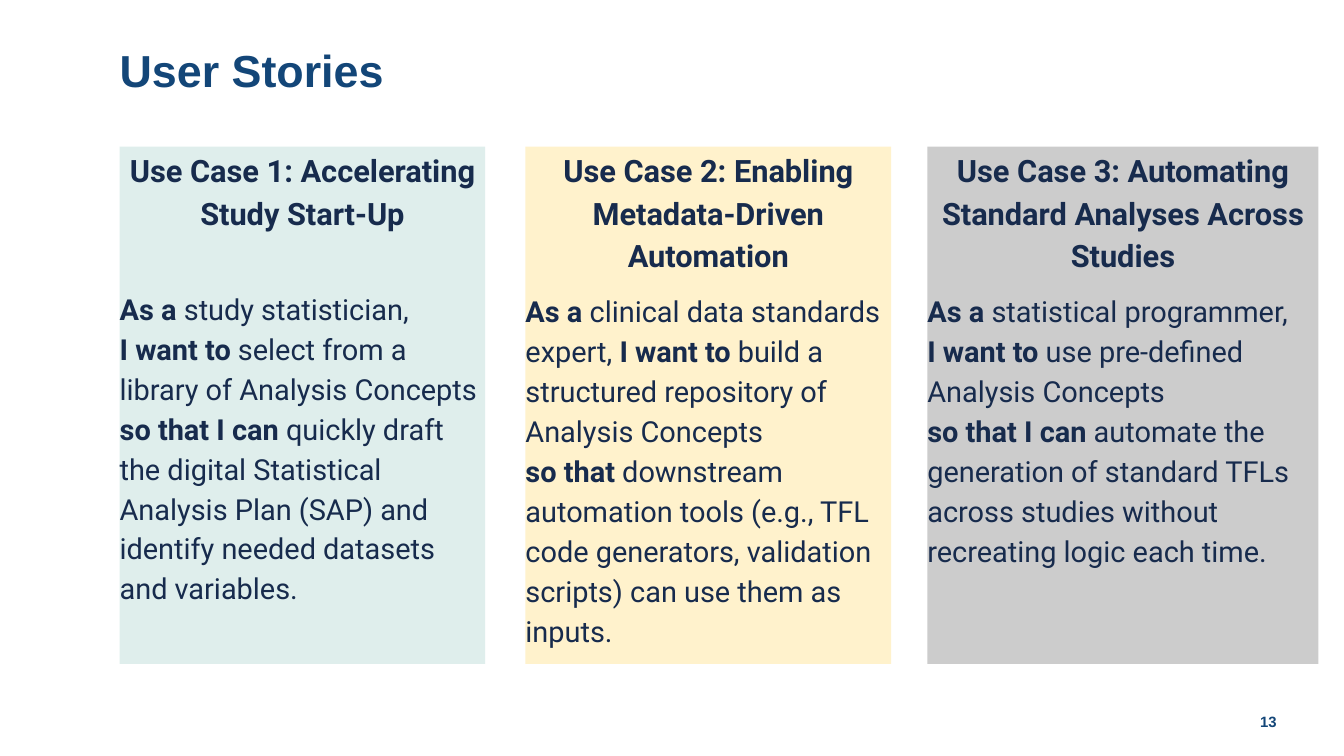
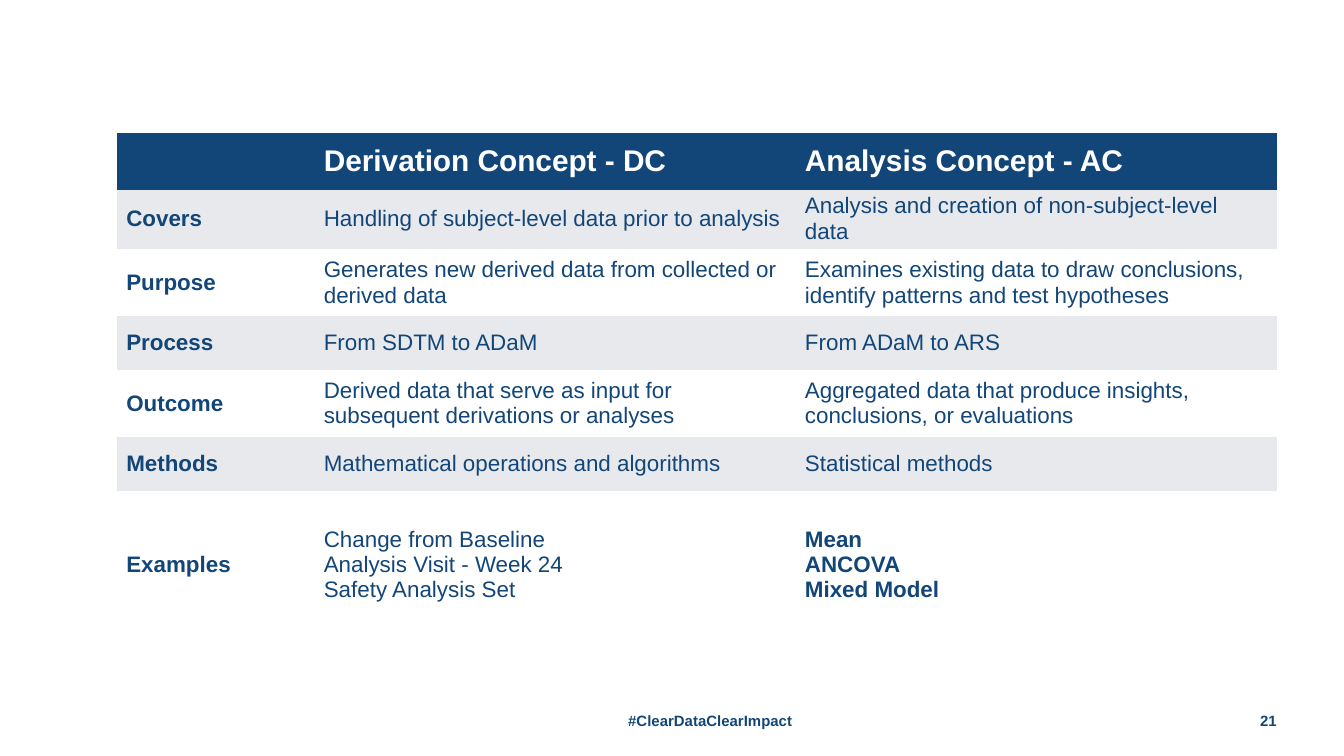
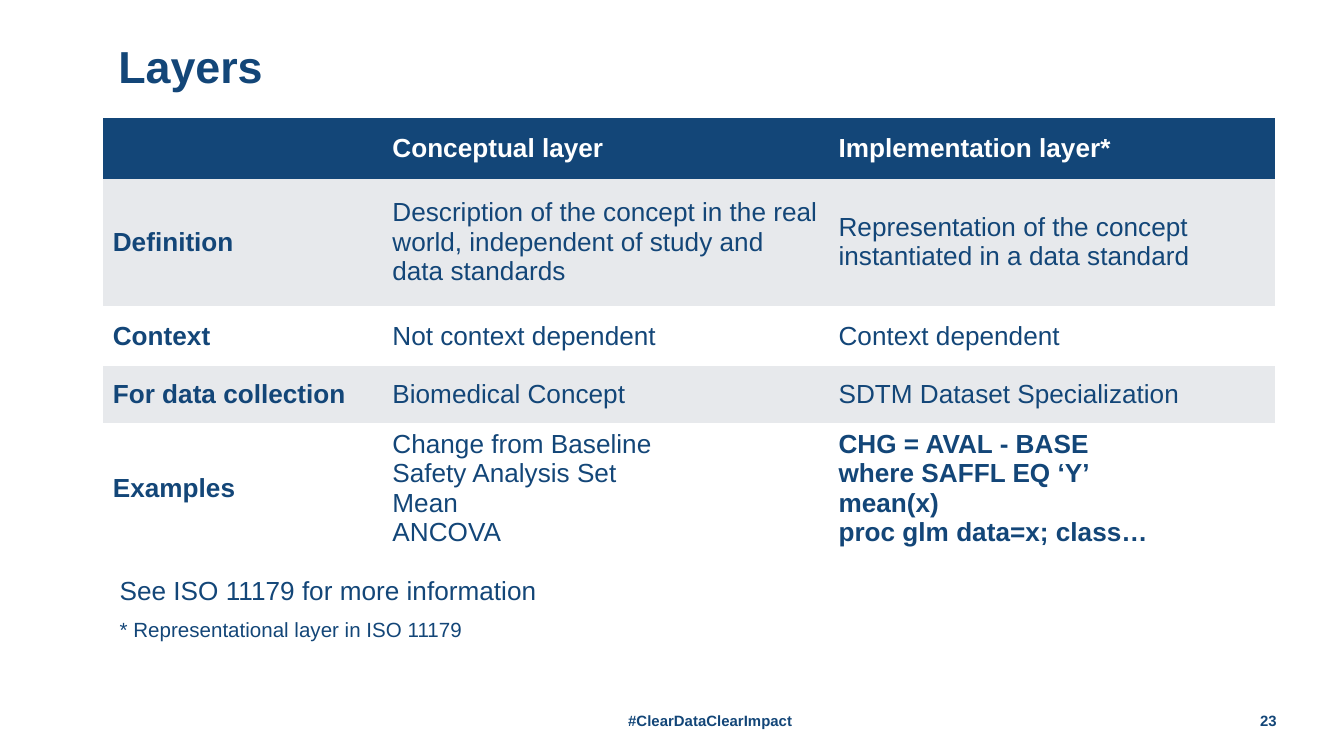
import dataclasses

import lxml.etree
import pptx
import pptx.dml.color
import pptx.enum.shapes
import pptx.enum.text
import pptx.oxml.ns
import pptx.util

Inches = pptx.util.Inches
Pt = pptx.util.Pt
ALIGN = pptx.enum.text.PP_ALIGN
ANCHOR = pptx.enum.text.MSO_ANCHOR


@dataclasses.dataclass(frozen=True)
class Theme:
    navy: str = "134678"
    ink: str = "172B4D"
    white: str = "FFFFFF"
    band: str = "E7E9EC"
    mint: str = "DFEEEC"
    cream: str = "FFF2CC"
    gray: str = "CCCCCC"
    sans: str = "Arial"
    card: str = "Roboto"
    title: float = 24
    head: float = 16.5
    story: float = 15.5
    wide: float = 16
    body: float = 14
    small: float = 12
    note: float = 11
    foot: float = 8
    no_style: str = "{2D5ABB26-0587-4C30-8999-92F81FD0307C}"


T = Theme()


def rgb(code):
    return pptx.dml.color.RGBColor.from_string(code)


def place(shape, left, top, width, height):
    shape.left, shape.top = Inches(left), Inches(top)
    shape.width, shape.height = Inches(width), Inches(height)


def write(frame, text, *, size, font=T.sans, color=T.navy, bold=False,
          align=ALIGN.LEFT, line=1.0, before=0, more=False):
    """Add one paragraph; ** toggles bold and a newline breaks the line."""
    para = frame.add_paragraph() if more else frame.paragraphs[0]
    para.alignment, para.line_spacing = align, line
    para.space_before = Pt(before)
    for part, chunk in enumerate(text.split("**")):
        for row, piece in enumerate(chunk.split("\n")):
            if row:
                para.add_line_break()
            if piece:
                run = para.add_run()
                run.text = piece
                run.font.size, run.font.name = Pt(size), font
                run.font.bold = bold or part % 2 == 1
                run.font.color.rgb = rgb(color)


def setup(frame, anchor=ANCHOR.TOP):
    frame.word_wrap = True
    frame.auto_size = pptx.enum.text.MSO_AUTO_SIZE.NONE
    frame.vertical_anchor = anchor
    frame.margin_left = frame.margin_right = 0
    frame.margin_top = frame.margin_bottom = 0


def add_box(slide, *area, anchor=ANCHOR.MIDDLE):
    box = slide.shapes.add_textbox(*map(Inches, area))
    setup(box.text_frame, anchor)
    return box.text_frame


def add_title(slide, text, left, top):
    title = slide.shapes.title
    place(title, left, top, 8.62, 1.09)
    setup(title.text_frame, ANCHOR.MIDDLE)
    write(title.text_frame, text, size=T.title, bold=True, line=0.9)


def add_foot(slide, number, tag="", top=5.21):
    page = add_box(slide, 9.17, top, 0.33, 0.3)
    write(page, number, size=T.foot, bold=True, align=ALIGN.RIGHT)
    if tag:
        label = add_box(slide, 2.73, top, 5.11, 0.3)
        write(label, tag, size=T.foot, bold=True, align=ALIGN.CENTER)


def add_card(slide, left, width, fill, head, gap, story):
    card = slide.shapes.add_shape(
        pptx.enum.shapes.MSO_SHAPE.RECTANGLE,
        Inches(left), Inches(1.09), Inches(width), Inches(3.85))
    card.shadow.inherit = False
    card.fill.solid()
    card.fill.fore_color.rgb = rgb(fill)
    card.line.fill.background()
    setup(card.text_frame)
    style = {"font": T.card, "color": T.ink, "line": 1.15}
    write(card.text_frame, head, size=T.head, bold=True,
          align=ALIGN.CENTER, **style)
    write(card.text_frame, story, size=T.story, before=gap, more=True, **style)


def add_edge(cell, color):
    """Draw the top and bottom borders of a cell, ahead of its fill."""
    props = cell._tc.get_or_add_tcPr()
    for spot, side in enumerate(("a:lnT", "a:lnB")):
        edge = lxml.etree.Element(pptx.oxml.ns.qn(side), w=str(Pt(2)))
        fill = lxml.etree.SubElement(edge, pptx.oxml.ns.qn("a:solidFill"))
        lxml.etree.SubElement(fill, pptx.oxml.ns.qn("a:srgbClr"), val=color)
        props.insert(spot, edge)


def add_grid(slide, left, top, cols, tall, rows, size, head):
    """Add a table with a dark header row and banded body rows."""
    frame = slide.shapes.add_table(
        len(rows), len(cols), Inches(left), Inches(top),
        Inches(sum(cols)), Inches(sum(tall)))
    grid = frame.table
    grid._tbl.tblPr.find(pptx.oxml.ns.qn("a:tableStyleId")).text = T.no_style
    grid.horz_banding = False
    for col, width in zip(grid.columns, cols):
        col.width = Inches(width)
    for r, (height, row) in enumerate(zip(tall, rows)):
        grid.rows[r].height = Inches(height)
        for c, text in enumerate(row):
            cell = grid.cell(r, c)
            cell.vertical_anchor = ANCHOR.MIDDLE
            cell.margin_left = cell.margin_right = Inches(0.07)
            cell.margin_top = cell.margin_bottom = Inches(0.04)
            cell.fill.solid()
            shade = T.band if r % 2 else T.white
            cell.fill.fore_color.rgb = rgb(shade if r else T.navy)
            if r == 0:
                add_edge(cell, T.navy)
            last = r == len(rows) - 1 and c == len(cols) - 1
            for n, item in enumerate(text.split("\n")):
                write(cell.text_frame, item, size=size if r else head,
                      color=T.navy if r else T.white,
                      bold=r == 0 or c == 0 or last, more=n > 0)


CARDS = [
    (0.89, 2.72, T.mint, "Use Case 1: Accelerating Study Start-Up", 29.5,
     "**As a** study statistician,\n**I want to** select from a library of "
     "Analysis Concepts\n**so that I can** quickly draft the digital "
     "Statistical Analysis Plan (SAP) and identify needed datasets and "
     "variables."),
    (3.91, 2.72, T.cream, "Use Case 2: Enabling Metadata-Driven Automation", 8,
     "**As a** clinical data standards expert, **I want to** build a "
     "structured repository of Analysis Concepts\n**so that** downstream "
     "automation tools (e.g., TFL code generators, validation scripts) can "
     "use them as inputs."),
    (6.9, 2.91, T.gray,
     "Use Case 3: Automating Standard Analyses Across Studies", 8,
     "**As a** statistical programmer,\n**I want to** use pre-defined "
     "Analysis Concepts\n**so that I can** automate the generation of "
     "standard TFLs across studies without recreating logic each time."),
]

KINDS = [
    ("", "Derivation Concept - DC", "Analysis Concept - AC"),
    ("Covers", "Handling of subject-level data prior to analysis",
     "Analysis and creation of non-subject-level data"),
    ("Purpose", "Generates new derived data from collected or derived data",
     "Examines existing data to draw conclusions, identify patterns and test "
     "hypotheses"),
    ("Process", "From SDTM to ADaM", "From ADaM to ARS"),
    ("Outcome",
     "Derived data that serve as input for subsequent derivations or analyses",
     "Aggregated data that produce insights, conclusions, or evaluations"),
    ("Methods", "Mathematical operations and algorithms",
     "Statistical methods"),
    ("Examples",
     "Change from Baseline\nAnalysis Visit - Week 24\nSafety Analysis Set",
     "Mean\nANCOVA\nMixed Model"),
]

LAYERS = [
    ("", "Conceptual layer", "Implementation layer*"),
    ("Definition",
     "Description of the concept in the real world, independent of study and "
     "data standards",
     "Representation of the concept instantiated in a data standard"),
    ("Context", "Not context dependent", "Context dependent"),
    ("For data collection", "Biomedical Concept",
     "SDTM Dataset Specialization"),
    ("Examples", "Change from Baseline\nSafety Analysis Set\nMean\nANCOVA",
     "CHG = AVAL - BASE\nwhere SAFFL EQ ‘Y’\nmean(x)\n"
     "proc glm data=x; class…"),
]

TAG = "#ClearDataClearImpact"


def main():
    # Widescreen page, 16 to 9
    deck = pptx.Presentation()
    deck.slide_width = Inches(10)
    deck.slide_height = Inches(10) * 9 // 16
    titled, blank = deck.slide_layouts[5], deck.slide_layouts[6]

    # User stories
    slide = deck.slides.add_slide(titled)
    add_title(slide, "User Stories", 0.89, 0)
    for card in CARDS:
        add_card(slide, *card)
    add_foot(slide, "13", top=5.22)

    # Derivation and analysis concepts
    slide = deck.slides.add_slide(blank)
    add_grid(slide, 0.87, 1, (1.47, 3.58, 3.58),
             (0.4, 0.4, 0.5, 0.4, 0.5, 0.4, 1.1), KINDS,
             size=T.small, head=T.wide)
    add_foot(slide, "21", TAG)

    # Layers
    slide = deck.slides.add_slide(titled)
    add_title(slide, "Layers", 0.88, -0.03)
    add_grid(slide, 0.77, 0.89, (2.08, 3.32, 3.32),
             (0.43, 0.96, 0.44, 0.43, 0.97), LAYERS,
             size=T.body, head=T.body)
    notes = add_box(slide, 0.89, 4.3, 8.61, 0.6, anchor=ANCHOR.TOP)
    write(notes, "See ISO 11179 for more information", size=T.body, line=0.9)
    write(notes, "* Representational layer in ISO 11179", size=T.note,
          line=0.9, before=7.5, more=True)
    add_foot(slide, "23", TAG)

    deck.save("out.pptx")


if __name__ == "__main__":
    main()
